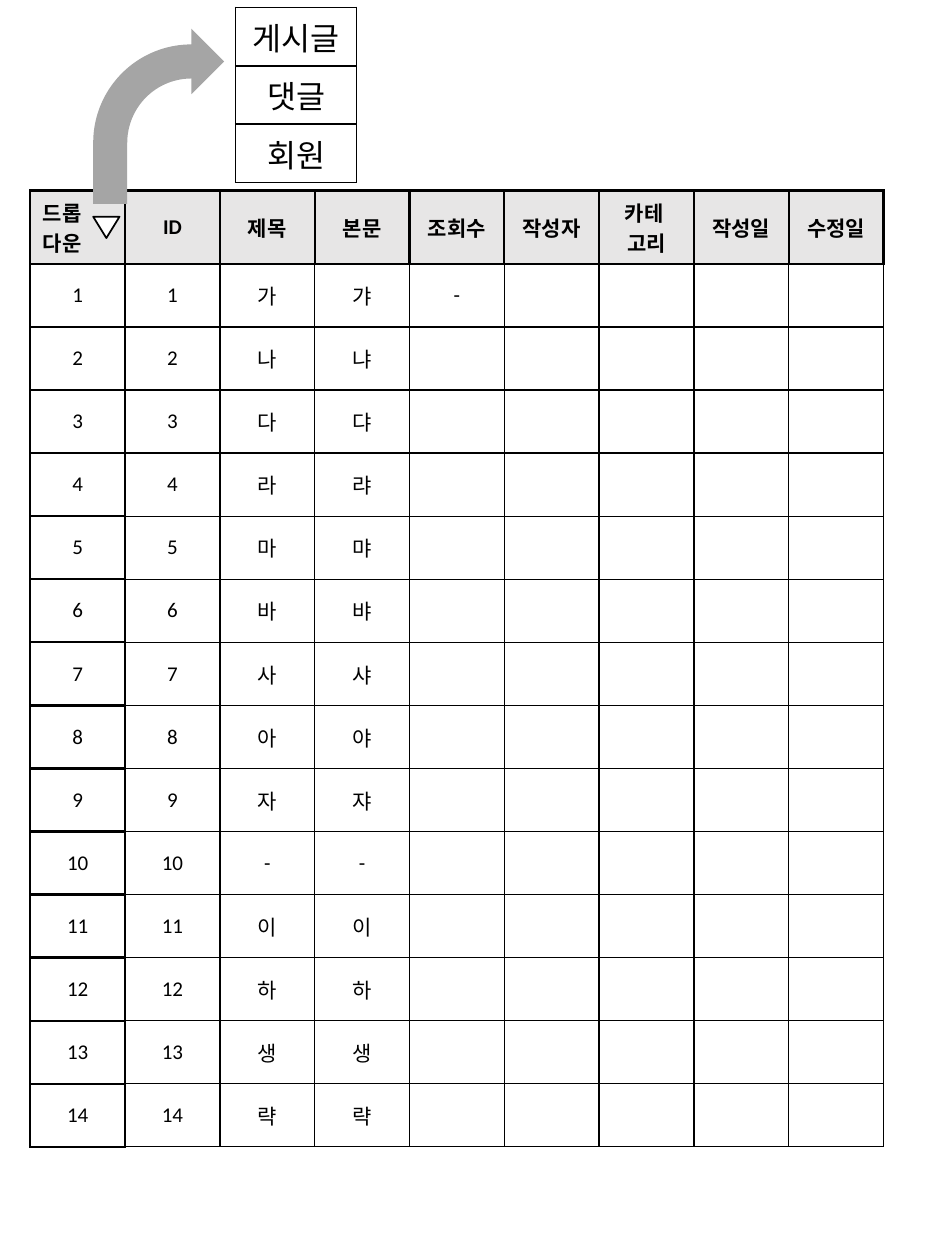
from lxml import etree
from pptx import Presentation
from pptx.dml.color import RGBColor
from pptx.enum.shapes import MSO_SHAPE
from pptx.enum.text import MSO_ANCHOR, PP_ALIGN
from pptx.oxml.ns import qn
from pptx.util import Cm, Pt

CENTER, LEFT = PP_ALIGN.CENTER, PP_ALIGN.LEFT
MIDDLE = MSO_ANCHOR.MIDDLE
BENT_ARROW, MERGE = MSO_SHAPE.BENT_ARROW, MSO_SHAPE.FLOWCHART_MERGE

FONT = "Calibri"
BLACK, WHITE, HEADER_GRAY, ARROW_GRAY = "000000", "FFFFFF", "E7E6E6", "A5A5A5"
THIN, THICK = 1, 1.5

HEADERS = ["드롭 \v다운", "ID", "제목", "본문", "조회수", "작성자", "카테 \v고리", "작성일", "수정일"]
TITLES = "가나다라마바사아자-이하생략"
BODIES = "갸냐댜랴먀뱌샤야쟈-이하생략"
OPTIONS = ["게시글", "댓글", "회원"]


def color(hex_string):
    return RGBColor.from_string(hex_string)


def set_borders(cell, left, right, top, bottom):
    """Draw black cell borders of the given widths in points."""
    properties = cell._tc.get_or_add_tcPr()
    for side, width in zip("LRTB", (left, right, top, bottom)):
        line = etree.SubElement(properties, qn(f"a:ln{side}"), w=str(Pt(width)))
        fill = etree.SubElement(line, qn("a:solidFill"))
        etree.SubElement(fill, qn("a:srgbClr"), val=BLACK)


def write_cell(cell, text, size, bold=False, align=CENTER):
    cell.text = text
    cell.vertical_anchor = MIDDLE
    para = cell.text_frame.paragraphs[0]
    para.alignment = align
    para.font.name = FONT
    para.font.size = Pt(size)
    para.font.bold = bold
    para.font.color.rgb = color(BLACK)


def add_grid(page, box, row_count, column_count):
    """Add an unstyled table with equal rows and columns."""
    left, top, width, height = box
    table = page.shapes.add_table(row_count, column_count, Cm(left), Cm(top),
                                  Cm(width), Cm(height)).table
    table.first_row = table.horz_banding = False
    for row in table.rows:
        row.height = Cm(height / row_count)
    for column in table.columns:
        column.width = Cm(width / column_count)
    return table


def add_post_list(page, box):
    posts = [[str(number), str(number), title, body]
             for number, (title, body) in enumerate(zip(TITLES, BODIES), 1)]
    posts[0].append("-")
    table = add_grid(page, box, len(posts) + 1, len(HEADERS))
    for r, texts in enumerate([HEADERS] + posts):
        for c in range(len(HEADERS)):
            cell = table.cell(r, c)
            is_header = r == 0
            # Header row and number column have a heavy frame
            base = THICK if is_header or c == 0 else THIN
            set_borders(cell, THICK if c == 1 else base, base,
                        THICK if r == 1 else base, base)
            cell.fill.solid()
            cell.fill.fore_color.rgb = color(HEADER_GRAY if is_header else WHITE)
            write_cell(cell, texts[c] if c < len(texts) else "", 12, is_header,
                       LEFT if is_header and c == 0 else CENTER)


def add_option_list(page, box):
    table = add_grid(page, box, len(OPTIONS), 1)
    for r, option in enumerate(OPTIONS):
        cell = table.cell(r, 0)
        set_borders(cell, THIN, THIN, THIN, THIN)
        cell.fill.background()
        write_cell(cell, option, 18)


def add_symbol(page, kind, box, fill):
    symbol = page.shapes.add_shape(kind, *(Cm(length) for length in box))
    symbol.shadow.inherit = False
    symbol.fill.solid()
    symbol.fill.fore_color.rgb = color(fill)
    symbol.line.fill.background()
    return symbol


def add_dropdown_mark(page, box):
    left, top, width, height = box
    # Triangle in the header cell
    mark = add_symbol(page, MERGE, (left, top + height - 0.43, 0.53, 0.43), WHITE)
    mark.line.color.rgb = color(BLACK)
    mark.line.width = Pt(THIN)
    # Arrow from the triangle up to the options
    arrow = add_symbol(page, BENT_ARROW, (left, top, width, 3.53), ARROW_GRAY)
    for index, value in enumerate((0.26, 0.25, 0.25, 0.75)):
        arrow.adjustments[index] = value


def main():
    deck = Presentation()
    deck.slide_width, deck.slide_height = Cm(19.05), Cm(25.4)
    page = deck.slides.add_slide(deck.slide_layouts[6])
    add_post_list(page, (0.61, 3.84, 17.2, 19.08))
    add_dropdown_mark(page, (1.88, 0.58, 2.64, 4.22))
    add_option_list(page, (4.75, 0.15, 2.44, 3.53))
    deck.save("out.pptx")


if __name__ == "__main__":
    main()
